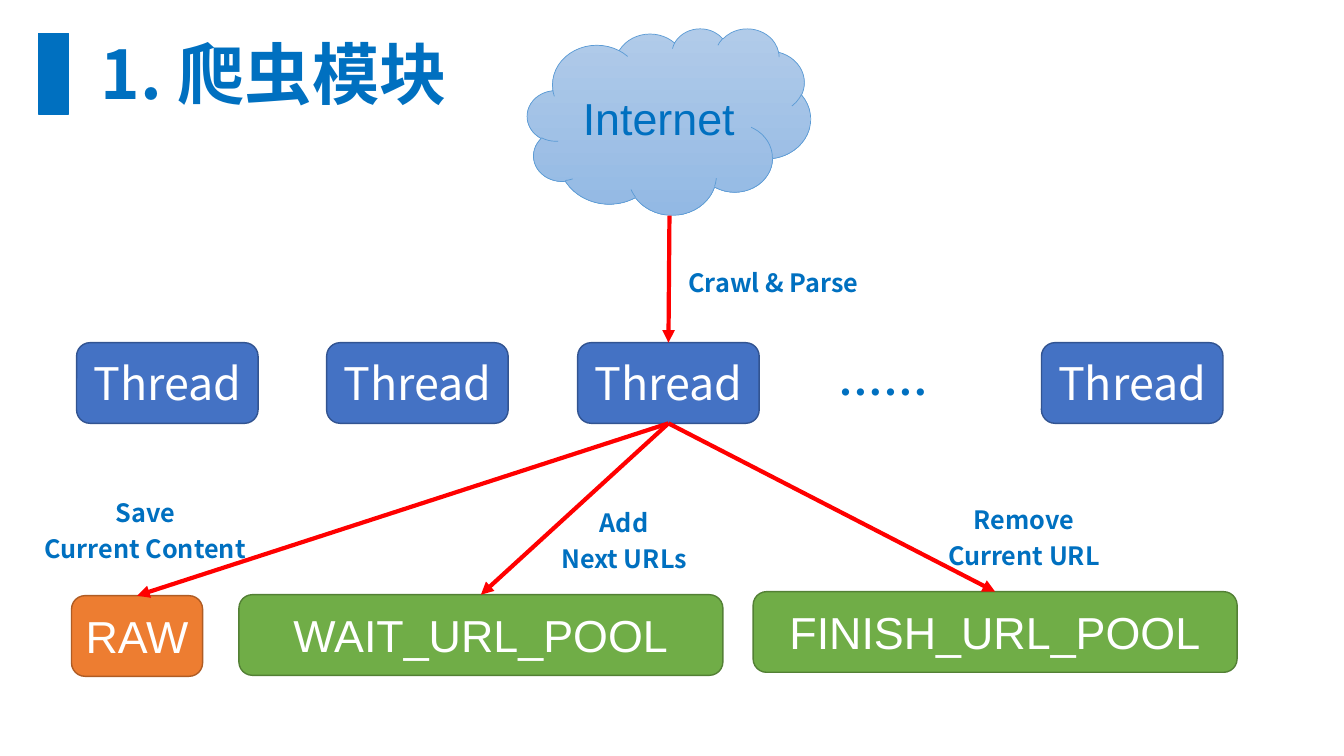
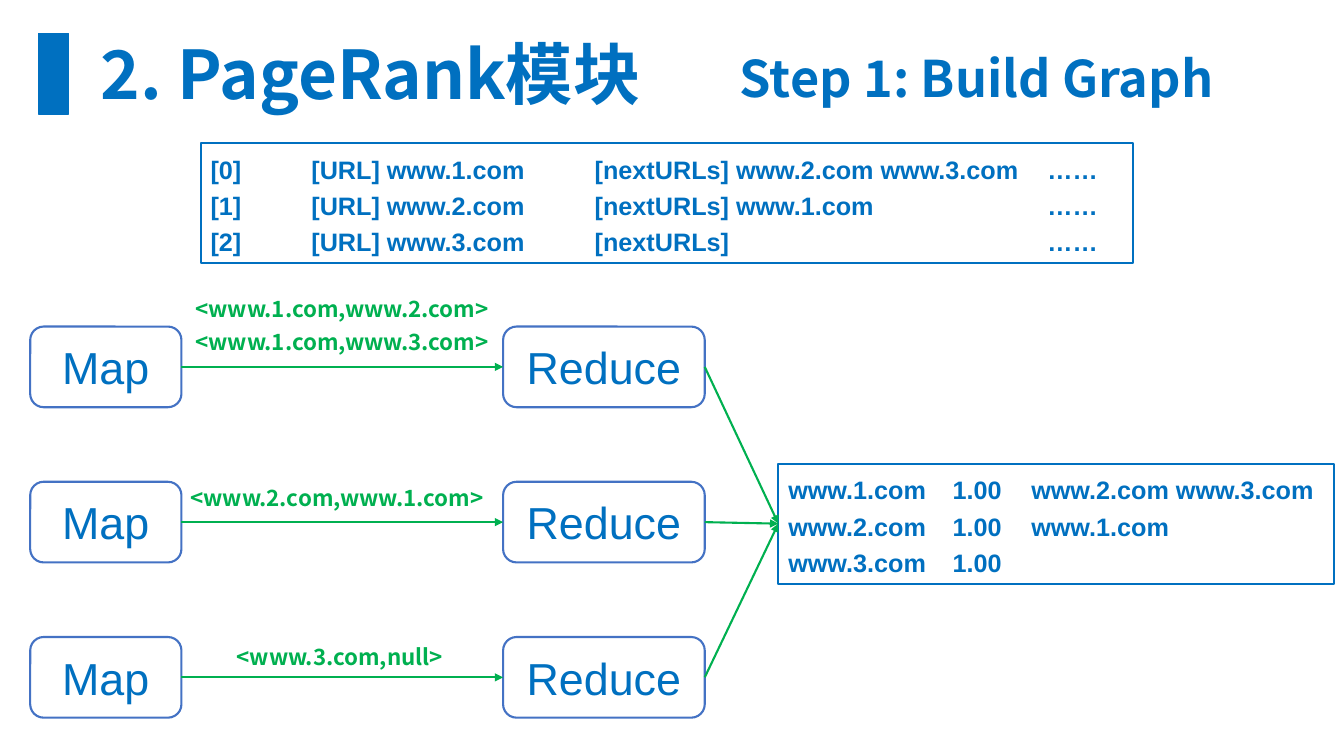
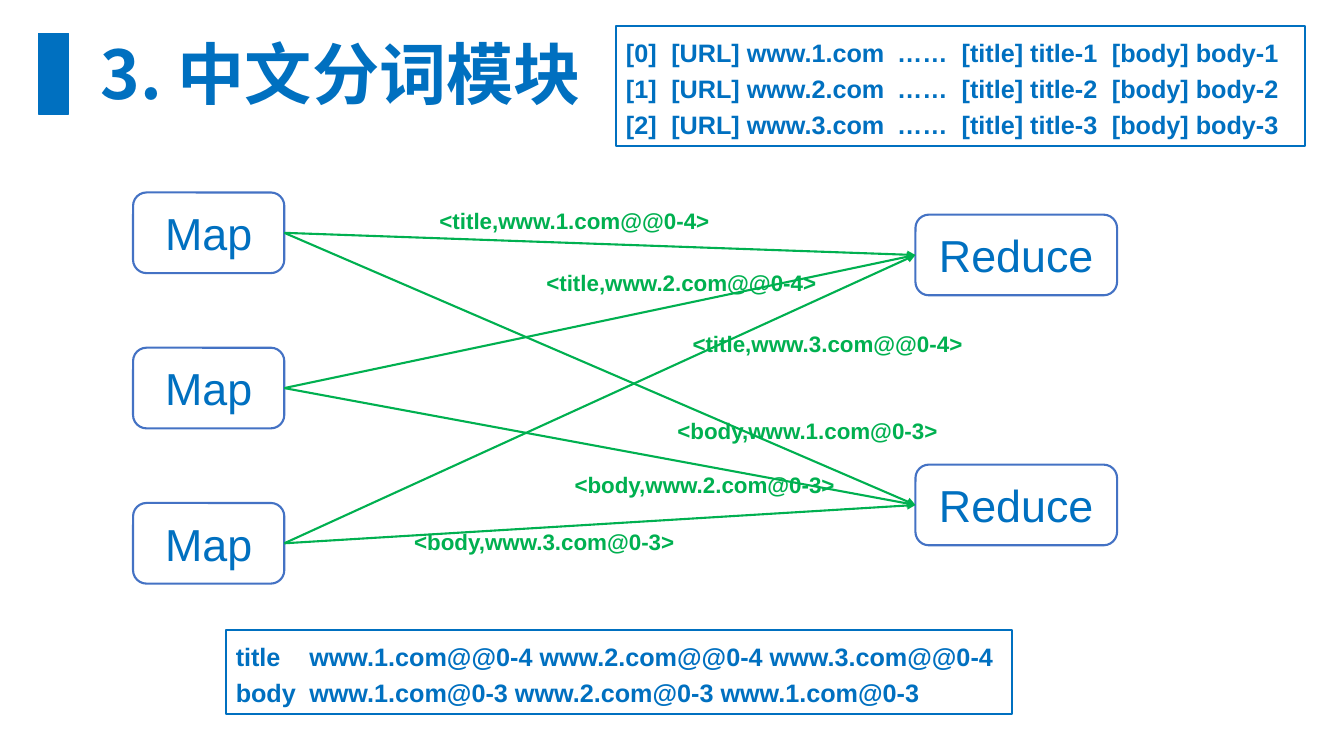
from lxml import etree
from pptx import Presentation
from pptx.dml.color import RGBColor
from pptx.enum.shapes import MSO_CONNECTOR, MSO_SHAPE
from pptx.enum.text import MSO_ANCHOR, MSO_AUTO_SIZE, PP_ALIGN
from pptx.oxml.ns import qn
from pptx.util import Inches, Pt

RECT, ROUND, CLOUD = MSO_SHAPE.RECTANGLE, MSO_SHAPE.ROUNDED_RECTANGLE, MSO_SHAPE.CLOUD
STRAIGHT = MSO_CONNECTOR.STRAIGHT
LEFT, CENTER = PP_ALIGN.LEFT, PP_ALIGN.CENTER
TOP, MIDDLE = MSO_ANCHOR.TOP, MSO_ANCHOR.MIDDLE
NO_FIT = MSO_AUTO_SIZE.NONE
TOP_SIDE, LEFT_SIDE, BOTTOM_SIDE, RIGHT_SIDE = range(4)

BLUE, GREEN, RED, WHITE = "0070C0", "00B050", "FF0000", "FFFFFF"
NODE_LINE = "4472C4"
THREAD_COLORS = ("4472C4", "325491")
POOL_COLORS = ("70AD47", "538035")
RAW_COLORS = ("ED7D31", "AF5C24")
ARIAL, NOTO = "Arial", "Noto Sans CJK SC"

TITLE = {"size": Pt(48), "name": NOTO, "bold": True}
STEP = {"size": Pt(36), "name": NOTO, "bold": True}
DOTS = {"size": Pt(32), "name": NOTO, "bold": True}
NOTE = {"size": Pt(18), "name": NOTO, "bold": True}
PAIR = {"size": Pt(16), "name": NOTO, "bold": True}
RECORD = {"size": Pt(18), "name": ARIAL, "bold": True}
TOKEN = {"size": Pt(16), "name": ARIAL, "bold": True}
NODE = {"size": Pt(32), "name": ARIAL, "bold": False}
THREAD = {"size": Pt(32), "name": NOTO, "bold": False}

NODE_H, NODE_STEP = 0.8, 1.54
MAP_W, REDUCE_W = 1.5, 2


def rgb(value):
    return RGBColor.from_string(value)


def box(at):
    return [Inches(v) for v in at]


def write(sp, lines, fmt, color, align=LEFT, anchor=TOP, spacing=1.0, tabs=()):
    tf = sp.text_frame
    tf.word_wrap = True
    tf.auto_size = NO_FIT
    tf.vertical_anchor = anchor
    for i, line in enumerate(lines):
        p = tf.add_paragraph() if i else tf.paragraphs[0]
        p.alignment = align
        p.line_spacing = spacing
        if tabs:
            tab_list = etree.SubElement(p._p.get_or_add_pPr(), qn("a:tabLst"))
            for pos in tabs:
                etree.SubElement(tab_list, qn("a:tab"), pos=str(Inches(pos)), algn="l")
        r = p.add_run()
        r.text = line
        for key, value in fmt.items():
            setattr(r.font, key, value)
        r.font.color.rgb = rgb(color)
        etree.SubElement(r._r.get_or_add_rPr(), qn("a:ea"), typeface=fmt["name"])


def add_shape(s, kind, at, fill, line, width=1):
    sp = s.shapes.add_shape(kind, *box(at))
    sp.shadow.inherit = False
    if fill:
        sp.fill.solid()
        sp.fill.fore_color.rgb = rgb(fill)
    else:
        sp.fill.background()
    sp.line.color.rgb = rgb(line)
    sp.line.width = Pt(width)
    return sp


def add_block(s, text, at, colors, fmt=NODE):
    sp = add_shape(s, ROUND, at, *colors)
    write(sp, [text], fmt, WHITE, CENTER, MIDDLE)
    return sp


def add_node(s, text, x, y, w):
    sp = add_shape(s, ROUND, (x, y, w, NODE_H), WHITE, NODE_LINE, 1.5)
    write(sp, [text], NODE, BLUE, CENTER, MIDDLE)
    return sp


def add_nodes(s, text, x, y, w, step=NODE_STEP, count=3):
    return [add_node(s, text, x, y + i * step, w) for i in range(count)]


def add_label(s, lines, at, fmt, color=BLUE, align=LEFT):
    write(s.shapes.add_textbox(*box(at)), lines, fmt, color, align, spacing=1.2)


def add_records(s, rows, at, tabs):
    sp = add_shape(s, RECT, at, None, BLUE, 1.5)
    write(sp, ["\t".join(row) for row in rows], RECORD, BLUE, spacing=1.2, tabs=tabs)
    return sp


def add_arrow(s, start, end, color, width):
    cn = s.shapes.add_connector(STRAIGHT, 0, 0, 0, 0)
    if isinstance(start[0], (int, float)):
        cn.begin_x, cn.begin_y = box(start)
    else:
        cn.begin_connect(*start)
    cn.end_connect(*end)
    cn.line.color.rgb = rgb(color)
    cn.line.width = Pt(width)
    etree.SubElement(cn.line._get_or_add_ln(), qn("a:tailEnd"), type="triangle")
    etree.SubElement(cn._element.spPr, qn("a:effectLst"))


def add_flow(s, source, target):
    add_arrow(s, (source, RIGHT_SIDE), (target, LEFT_SIDE), GREEN, 1.5)


def new_slide(prs, title, width=6):
    s = prs.slides.add_slide(prs.slide_layouts[5])
    add_shape(s, RECT, (0.38, 0.33, 0.3, 0.8), BLUE, BLUE)
    sp = s.shapes.title
    sp.left, sp.top, sp.width, sp.height = box((0.9, 0.27, width, 0.91))
    write(sp, [title], TITLE, BLUE)
    return s


def crawler_slide(prs):
    s = new_slide(prs, "1. 爬虫模块", 5)
    cloud = add_shape(s, CLOUD, (5.23, 0.28, 2.81, 1.85), WHITE, "5B9BD5", 0.5)
    cloud.fill.gradient()
    cloud.fill.gradient_angle = 270
    for stop, color in zip(cloud.fill.gradient_stops, ("B1CBE9", "93B9E4")):
        stop.color.rgb = rgb(color)
    write(cloud, ["Internet"], NODE, BLUE, CENTER, MIDDLE)

    threads = [add_block(s, "Thread", (x, 3.4, 1.8, NODE_H), THREAD_COLORS, THREAD)
               for x in (0.76, 3.24, 5.73, 10.33)]
    stores = [add_block(s, text, (x, y, w, NODE_H), colors) for text, x, y, w, colors in (
        ("RAW", 0.71, 5.91, 1.3, RAW_COLORS),
        ("WAIT_URL_POOL", 2.37, 5.9, 4.8, POOL_COLORS),
        ("FINISH_URL_POOL", 7.47, 5.87, 4.8, POOL_COLORS),
    )]
    active = threads[2]
    add_arrow(s, (6.64, 2.14), (active, TOP_SIDE), RED, 3)
    for store in stores:
        add_arrow(s, (active, BOTTOM_SIDE), (store, TOP_SIDE), RED, 3)

    add_label(s, ["……"], (8.22, 3.46, 1.43, 0.75), DOTS)
    add_label(s, ["Crawl & Parse"], (6.73, 2.54, 2.47, 0.46), NOTE)
    for lines, x, y, w in (
        (["Save", "Current Content"], 0.22, 4.82, 2.44),
        (["Add", "Next URLs"], 5.43, 4.92, 1.52),
        (["Remove", "Current URL"], 9.1, 4.89, 2.11),
    ):
        add_label(s, lines, (x, y, w, 0.83), NOTE, align=CENTER)


def graph_slide(prs):
    s = new_slide(prs, "2. PageRank模块")
    add_label(s, ["Step 1: Build Graph"], (7.24, 0.3, 5.15, 0.83), STEP)
    add_records(s, [
        ("[0]", "[URL] www.1.com", "[nextURLs] www.2.com www.3.com", "……"),
        ("[1]", "[URL] www.2.com", "[nextURLs] www.1.com", "……"),
        ("[2]", "[URL] www.3.com", "[nextURLs]", "……"),
    ], (1.99, 1.42, 9.25, 1.19), (1, 3.81, 8.3))
    ranks = add_records(s, [
        ("www.1.com", "1.00", "www.2.com www.3.com"),
        ("www.2.com", "1.00", "www.1.com"),
        ("www.3.com", "1.00"),
    ], (7.72, 4.6, 5.51, 1.19), (1.63, 2.41))

    maps = add_nodes(s, "Map", 0.3, 3.24, MAP_W)
    reduces = add_nodes(s, "Reduce", 4.99, 3.24, REDUCE_W)
    for source, target in zip(maps, reduces):
        add_flow(s, source, target)
        add_flow(s, target, ranks)
    for lines, at in (
        (["<www.1.com,www.2.com>", "<www.1.com,www.3.com>"], (1.84, 2.83, 3.25, 0.75)),
        (["<www.2.com,www.1.com>"], (1.79, 4.7, 3.21, 0.42)),
        (["<www.3.com,null>"], (2.25, 6.28, 2.47, 0.42)),
    ):
        add_label(s, lines, at, PAIR, GREEN)


def segmentation_slide(prs):
    s = new_slide(prs, "3. 中文分词模块")
    add_records(s, [
        (f"[{i}]", f"[URL] www.{i + 1}.com", "……", f"[title] title-{i + 1}", f"[body] body-{i + 1}")
        for i in range(3)
    ], (6.11, 0.26, 6.83, 1.19), (0.45, 2.69, 3.33, 4.82))
    add_records(s, [
        ("title", "www.1.com@@0-4 www.2.com@@0-4 www.3.com@@0-4"),
        ("body", "www.1.com@0-3 www.2.com@0-3 www.1.com@0-3"),
    ], (2.24, 6.25, 7.8, 0.83), (0.73,))

    maps = add_nodes(s, "Map", 1.32, 1.91, MAP_W)
    reduces = add_nodes(s, "Reduce", 9.08, 2.13, REDUCE_W, 2.48, 2)
    for source in maps:
        for target in reduces:
            add_flow(s, source, target)
    for text, x, y in (
        ("<title,www.1.com@@0-4>", 4.26, 1.95),
        ("<title,www.2.com@@0-4>", 5.32, 2.57),
        ("<title,www.3.com@@0-4>", 6.77, 3.17),
        ("<body,www.1.com@0-3>", 6.62, 4.04),
        ("<body,www.2.com@0-3>", 5.6, 4.57),
        ("<body,www.3.com@0-3>", 4.01, 5.14),
    ):
        add_label(s, [text], (x, y, 3.25, 0.42), TOKEN, GREEN)


def main():
    prs = Presentation()
    prs.slide_width, prs.slide_height = box((13.33, 7.5))
    crawler_slide(prs)
    graph_slide(prs)
    segmentation_slide(prs)
    prs.save("out.pptx")


if __name__ == "__main__":
    main()
